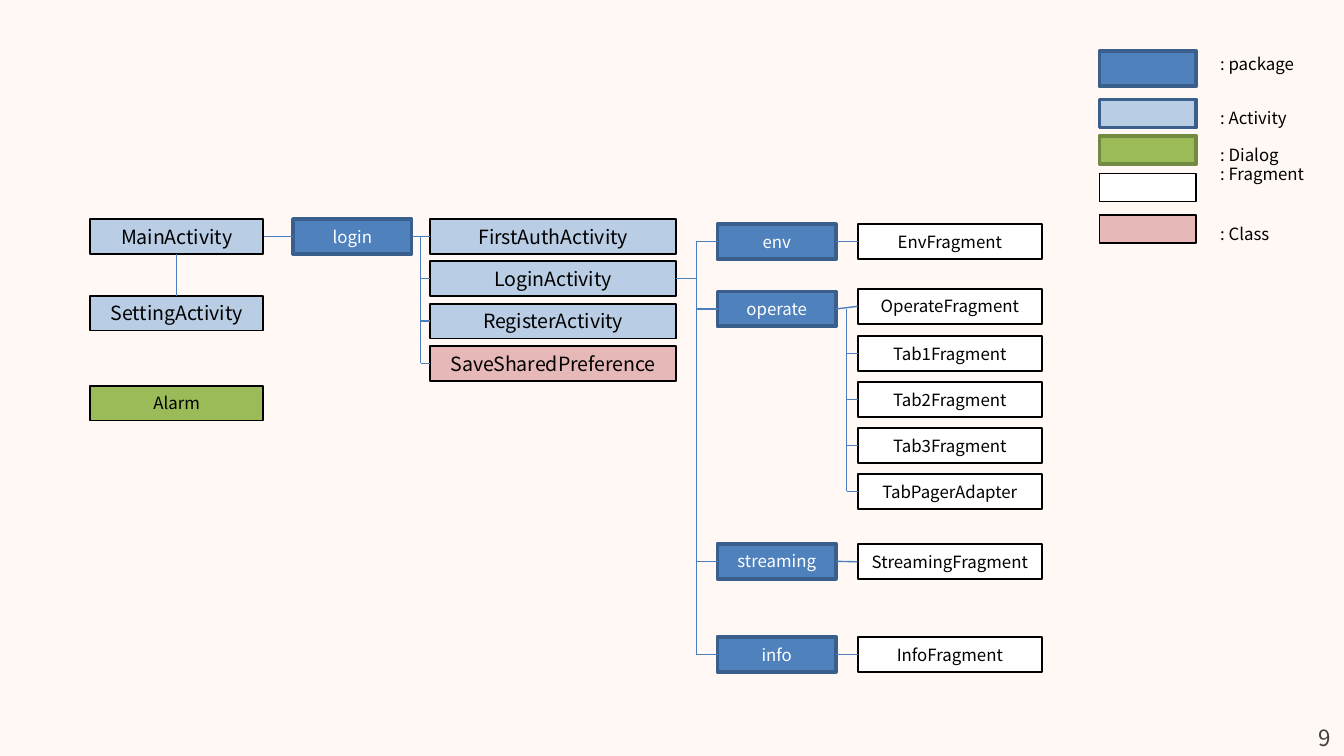
from lxml import etree
from pptx import Presentation
from pptx.dml.color import RGBColor
from pptx.enum.shapes import MSO_CONNECTOR, MSO_SHAPE
from pptx.enum.text import MSO_ANCHOR, PP_ALIGN
from pptx.oxml.ns import qn
from pptx.util import Cm, Pt

RECTANGLE = MSO_SHAPE.RECTANGLE
STRAIGHT = MSO_CONNECTOR.STRAIGHT
MIDDLE = MSO_ANCHOR.MIDDLE
LEFT, CENTER = PP_ALIGN.LEFT, PP_ALIGN.CENTER
SIDE_TOP, SIDE_LEFT, SIDE_BOTTOM, SIDE_RIGHT = range(4)

FONT = "Noto Sans CJK KR"
BLACK, WHITE = "000000", "FFFFFF"
BLUE, DARK_BLUE, LIGHT_BLUE = "4F81BD", "3A5F8C", "B9CDE5"
GREEN, DARK_GREEN, PINK = "9BBB59", "738A42", "E6B9B8"
CONNECTOR_BLUE, GREY, BACKGROUND = "4B7EBC", "404040", "FFF8F5"

BOX_HEIGHT = 0.66
# Kind of box: fill, outline, outline width, text size, text colour
PACKAGE = (BLUE, DARK_BLUE, 2, 9, WHITE)
ACTIVITY = (LIGHT_BLUE, BLACK, 1, 10.5, BLACK)
DIALOG = (GREEN, BLACK, 1, 9, BLACK)
FRAGMENT = (WHITE, BLACK, 1, 9, BLACK)
CLASS = (PINK, BLACK, 1, 10.5, BLACK)
# Column of the diagram: left, width
MAIN_COLUMN = (1.7, 3.28)
LOGIN_COLUMN = (5.54, 2.24)
ACTIVITY_COLUMN = (8.13, 4.65)
PACKAGE_COLUMN = (13.56, 2.24)
FRAGMENT_COLUMN = (16.21, 3.48)


def color(hex_code):
    return RGBColor.from_string(hex_code)


def write(frame, text, size, text_color, align):
    para = frame.paragraphs[0]
    para.alignment = align
    span = para.add_run()
    span.text = text
    span.font.name = FONT
    span.font.size = Pt(size)
    span.font.color.rgb = color(text_color)


def add_rectangle(page, left, top, width, height, fill, outline, weight):
    box = page.shapes.add_shape(RECTANGLE, Cm(left), Cm(top), Cm(width), Cm(height))
    box.shadow.inherit = False
    box.fill.solid()
    box.fill.fore_color.rgb = color(fill)
    box.line.color.rgb = color(outline)
    box.line.width = Pt(weight)
    return box


def add_box(page, text, column, top, kind):
    left, width = column
    fill, outline, weight, size, text_color = kind
    box = add_rectangle(page, left, top, width, BOX_HEIGHT, fill, outline, weight)
    frame = box.text_frame
    frame.word_wrap = True
    frame.vertical_anchor = MIDDLE
    frame.margin_left = frame.margin_right = Cm(0.1)
    write(frame, text, size, text_color, CENTER)
    return box


def add_label(page, text, left, top, width, size, text_color, align):
    label = page.shapes.add_textbox(Cm(left), Cm(top), Cm(width), Cm(0.64))
    label.text_frame.word_wrap = True
    write(label.text_frame, text, size, text_color, align)


def add_line(page, start_x, start_y, end_x, end_y):
    line = page.shapes.add_connector(STRAIGHT, start_x, start_y, end_x, end_y)
    line.line.color.rgb = color(CONNECTOR_BLUE)
    line.line.width = Pt(0.75)
    etree.SubElement(line._element.spPr, qn("a:effectLst"))
    return line


def link(page, start, end, start_side=SIDE_RIGHT, end_side=SIDE_LEFT):
    """Join two boxes with one straight line."""
    line = add_line(page, 0, 0, 0, 0)
    line.begin_connect(start, start_side)
    line.end_connect(end, end_side)


def middle(box):
    return box.top + box.height // 2


def add_branch(page, trunk, start, children):
    """Draw a vertical trunk from the start box to the last child, with a stub to each child."""
    add_line(page, trunk, middle(start), trunk, middle(children[-1]))
    for child in children:
        stub = add_line(page, trunk, middle(child), child.left, middle(child))
        stub.end_connect(child, SIDE_LEFT)


def add_legend(page):
    entries = [
        (": package", 0.97, 0.66, 0.89, BLUE, DARK_BLUE, 2),
        (": Activity", 1.88, 0.53, 1.91, LIGHT_BLUE, DARK_BLUE, 2),
        (": Dialog", 2.57, 0.53, 2.62, GREEN, DARK_GREEN, 2),
        (": Fragment", 3.28, 0.53, 2.97, WHITE, BLACK, 1),
        (": Class", 4.06, 0.53, 4.11, PINK, BLACK, 1),
    ]
    for text, top, height, label_top, fill, outline, weight in entries:
        add_rectangle(page, 20.78, top, 1.83, height, fill, outline, weight)
        add_label(page, text, 22.81, label_top, 2.4, 9, BLACK, LEFT)


def add_login_group(page):
    """Draw the start screens and the login package, and return the LoginActivity box."""
    main_box = add_box(page, "MainActivity", MAIN_COLUMN, 4.14, ACTIVITY)
    setting = add_box(page, "SettingActivity", MAIN_COLUMN, 5.59, ACTIVITY)
    add_box(page, "Alarm", MAIN_COLUMN, 7.29, DIALOG)
    login = add_box(page, "login", LOGIN_COLUMN, 4.14, PACKAGE)
    members = [
        ("FirstAuthActivity", ACTIVITY),
        ("LoginActivity", ACTIVITY),
        ("RegisterActivity", ACTIVITY),
        ("SaveSharedPreference", CLASS),
    ]
    boxes = [add_box(page, name, ACTIVITY_COLUMN, 4.14 + 0.8 * row, kind)
             for row, (name, kind) in enumerate(members)]
    link(page, setting, main_box, SIDE_TOP, SIDE_BOTTOM)
    link(page, login, main_box, SIDE_LEFT, SIDE_RIGHT)
    link(page, login, boxes[0])
    add_branch(page, Cm(7.95), login, boxes[1:])
    return boxes[1]


def add_fragment_groups(page, login_activity):
    groups = [
        ("env", 4.24, "EnvFragment", 4.24),
        ("operate", 5.51, "OperateFragment", 5.46),
        ("streaming", 10.28, "StreamingFragment", 10.29),
        ("info", 12.04, "InfoFragment", 12.04),
    ]
    packages = {}
    for name, top, fragment_name, fragment_top in groups:
        packages[name] = add_box(page, name, PACKAGE_COLUMN, top, PACKAGE)
        fragment = add_box(page, fragment_name, FRAGMENT_COLUMN, fragment_top, FRAGMENT)
        link(page, packages[name], fragment)

    tab_names = ["Tab1Fragment", "Tab2Fragment", "Tab3Fragment", "TabPagerAdapter"]
    tabs = [add_box(page, name, FRAGMENT_COLUMN, 6.35 + 0.87 * row, FRAGMENT)
            for row, name in enumerate(tab_names)]
    add_branch(page, Cm(16), packages["operate"], tabs)

    trunk = Cm(13.16)
    stem = add_line(page, 0, 0, trunk, middle(login_activity))
    stem.begin_connect(login_activity, SIDE_RIGHT)
    add_branch(page, trunk, packages["env"], list(packages.values()))


def main():
    deck = Presentation()
    deck.slide_width, deck.slide_height = Cm(25.4), Cm(14.29)
    page = deck.slides.add_slide(deck.slide_layouts[6])
    page.background.fill.solid()
    page.background.fill.fore_color.rgb = color(BACKGROUND)
    add_label(page, "9", 24.66, 13.56, 0.74, 12, GREY, CENTER)
    add_legend(page)
    login_activity = add_login_group(page)
    add_fragment_groups(page, login_activity)
    deck.save("out.pptx")


if __name__ == "__main__":
    main()
